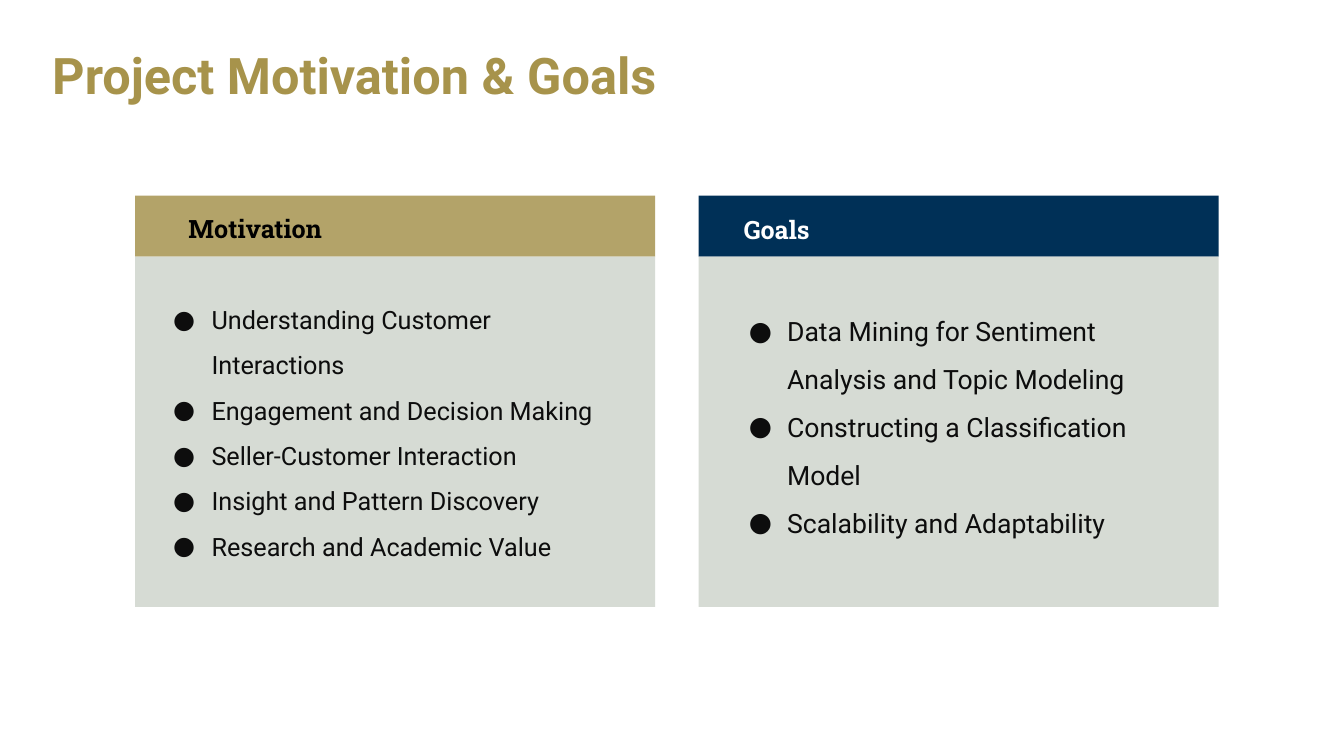
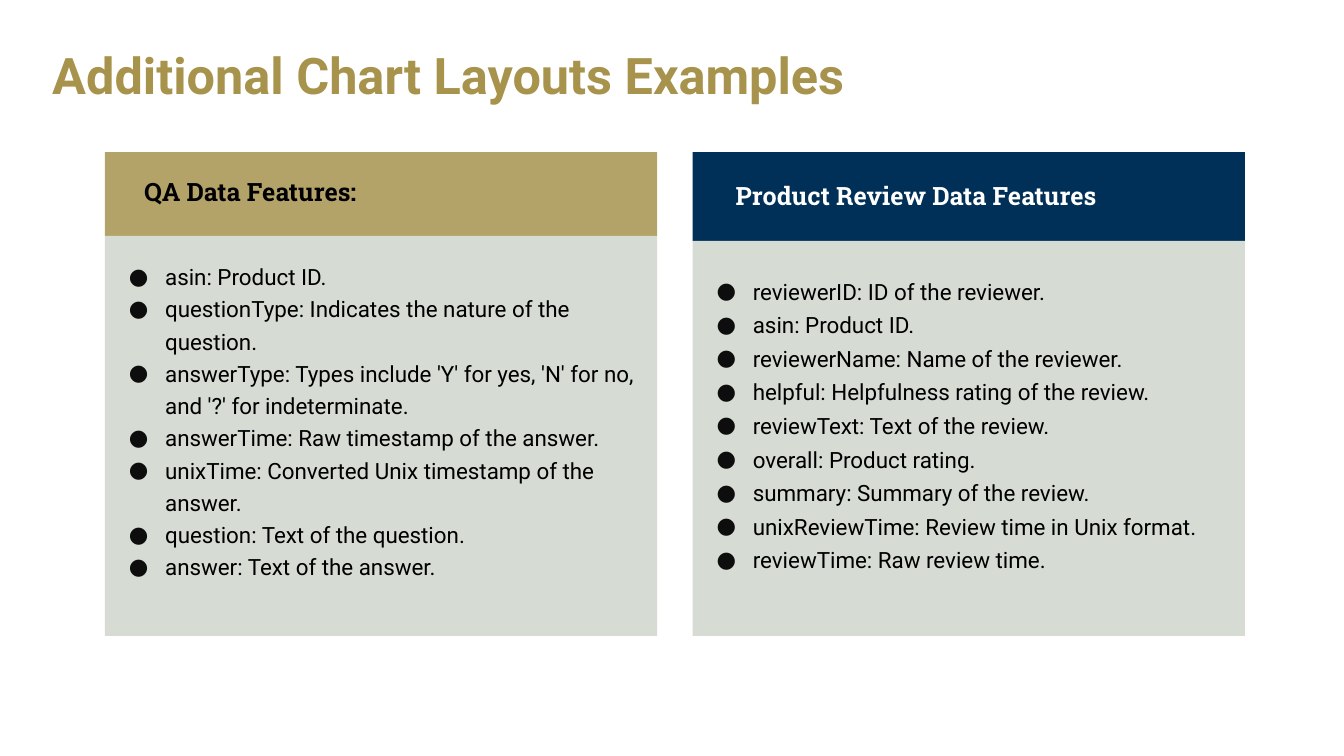
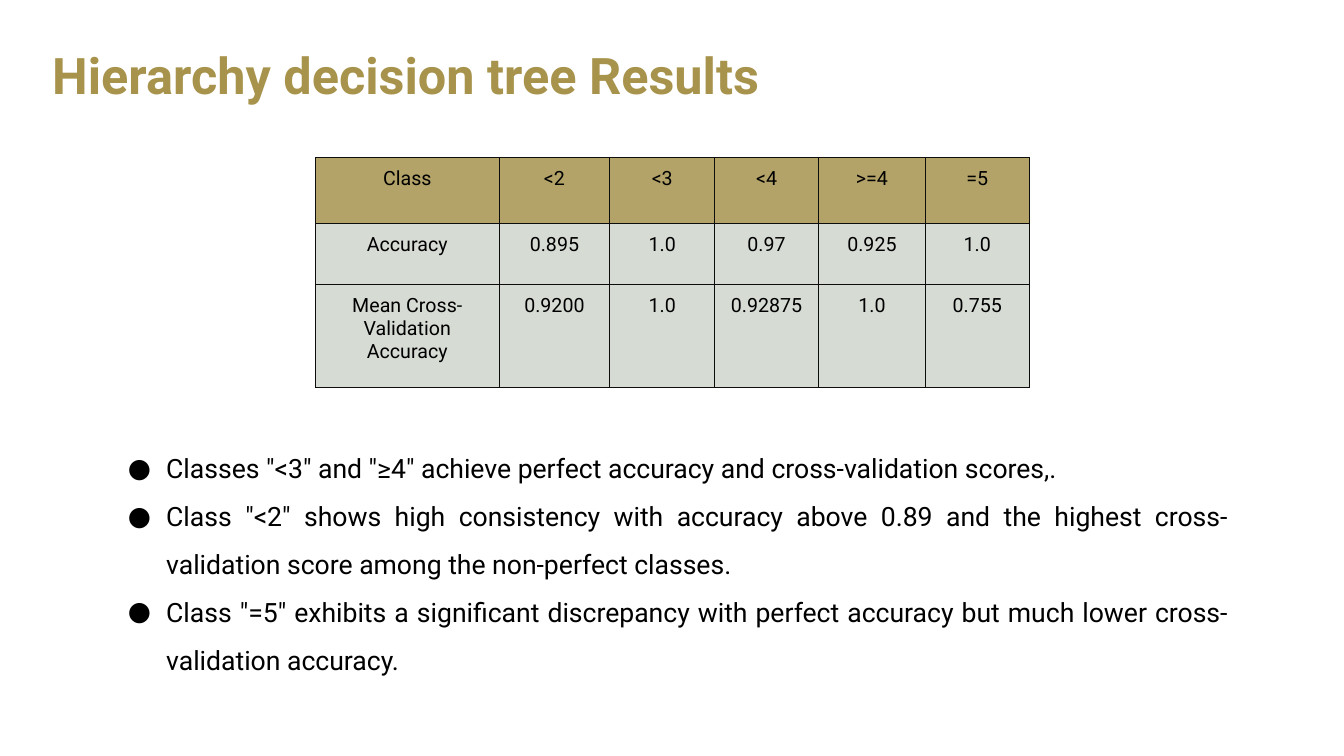
from lxml import etree
from pptx import Presentation
from pptx import util as u
from pptx.dml.color import RGBColor
from pptx.enum import shapes, text
from pptx.oxml.ns import qn

HUE = {
    "title": "A7934B", "gold": "B3A369", "navy": "003057", "grey": "D6DBD4",
    "black": "000000", "soft": "0D0D0D", "white": "FFFFFF",
}
BODY, SLAB = "Roboto", "Roboto Slab"
LEFT, MID, JUST = text.PP_ALIGN.LEFT, text.PP_ALIGN.CENTER, text.PP_ALIGN.JUSTIFY

deck = Presentation()
deck.slide_width, deck.slide_height = u.Inches(13.33), u.Inches(7.5)
# The grid has 100 columns and 100 rows
COL, ROW = deck.slide_width / 100, deck.slide_height / 100


def grid(x, y, w, h):
    return [u.Emu(round(n)) for n in (x * COL, y * ROW, w * COL, h * ROW)]


def write(frame, lines, size, hue, font=BODY, bold=False, space=1.0,
          align=LEFT, dot=None, hang=0.38):
    """Fill a text frame, one paragraph a line; dot is the bullet colour."""
    for i, line in enumerate(lines):
        para = frame.add_paragraph() if i else frame.paragraphs[0]
        para.alignment, para.line_spacing = align, space
        if dot:
            prop = para._p.get_or_add_pPr()
            prop.set("marL", str(u.Inches(0.5)))
            prop.set("indent", str(-u.Inches(hang)))
            tint = etree.SubElement(prop, qn("a:buClr"))
            etree.SubElement(tint, qn("a:srgbClr"), val=HUE[dot])
            etree.SubElement(prop, qn("a:buFont"), typeface=BODY)
            etree.SubElement(prop, qn("a:buChar"), char="●")
        run = para.add_run()
        run.text = line
        run.font.size, run.font.name, run.font.bold = u.Pt(size), font, bold
        run.font.color.rgb = RGBColor.from_string(HUE[hue])


# Slides with their titles
pages = []
for name in ("Project Motivation & Goals", "Additional Chart Layouts Examples",
             "Hierarchy decision tree Results"):
    page = deck.slides.add_slide(deck.slide_layouts[6])
    frame = page.shapes.add_textbox(*grid(3.15, 2.93, 93.75, 14.8)).text_frame
    frame.word_wrap = True
    frame.vertical_anchor = text.MSO_ANCHOR.MIDDLE
    write(frame, [name], 36, "title", bold=True, space=0.9)
    pages.append(page)

# Panels: page, band hue, heading hue, (left, top, width, band height, end),
# heading, its (x, y), list, its (x, y, width), list style
PANELS = [
    (0, "gold", "black", (10.05, 25.87, 38.7, 8.07, 80.27),
     "Motivation", (13.28, 27.6),
     ["Understanding Customer Interactions",
      "Engagement and Decision Making",
      "Seller-Customer Interaction",
      "Insight and Pattern Discovery",
      "Research and Academic Value"],
     (11.25, 37.6, 35.18), dict(size=18, hue="soft", space=1.5)),
    (0, "navy", "white", (51.98, 25.87, 38.7, 8.07, 80.27),
     "Goals", (54.6, 27.73),
     ["Data Mining for Sentiment Analysis and Topic Modeling",
      "Constructing a Classification Model",
      "Scalability and Adaptability"],
     (54.08, 38.93, 34.58), dict(size=19, hue="soft", space=1.5)),
    (1, "gold", "black", (7.8, 20.13, 41.1, 11.07, 84.13),
     "QA Data Features:", (9.98, 22.67),
     ["asin: Product ID.",
      "questionType: Indicates the nature of the question.",
      "answerType: Types include 'Y' for yes, 'N' for no, and '?' for indeterminate.",
      "answerTime: Raw timestamp of the answer.",
      "unixTime: Converted Unix timestamp of the answer.",
      "question: Text of the question.",
      "answer: Text of the answer."],
     (7.8, 33.47, 41.1), dict(size=16, hue="black", space=1.2, hang=0.36)),
    (1, "navy", "white", (51.53, 20.13, 41.1, 11.73, 84.13),
     "Product Review Data Features", (54, 23.2),
     ["reviewerID: ID of the reviewer.",
      "asin: Product ID.",
      "reviewerName: Name of the reviewer.",
      "helpful: Helpfulness rating of the review.",
      "reviewText: Text of the review.",
      "overall: Product rating.",
      "summary: Summary of the review.",
      "unixReviewTime: Review time in Unix format.",
      "reviewTime: Raw review time."],
     (51.53, 35.2, 41.1), dict(size=16, hue="black", space=1.25, hang=0.36)),
]
for num, band, ink, area, head, spot, items, zone, style in PANELS:
    parts = pages[num].shapes
    left, top, width, tall, end = area
    for hue, y, h in ((band, top, tall), ("grey", top + tall, end - top - tall)):
        rect = parts.add_shape(shapes.MSO_SHAPE.RECTANGLE, *grid(left, y, width, h))
        rect.shadow.inherit = False
        rect.fill.solid()
        rect.fill.fore_color.rgb = RGBColor.from_string(HUE[hue])
        rect.line.fill.background()
    frame = parts.add_textbox(*grid(*spot, 33, 5.33)).text_frame
    frame.word_wrap = True
    write(frame, [head], 18, ink, font=SLAB, bold=True)
    x, y, w = zone
    frame = parts.add_textbox(*grid(x, y, w, end - y - 3)).text_frame
    frame.word_wrap = True
    write(frame, items, dot="soft", **style)

# Results table
ROWS = [
    ["Class", "<2", "<3", "<4", ">=4", "=5"],
    ["Accuracy", "0.895", "1.0", "0.97", "0.925", "1.0"],
    ["Mean Cross-Validation Accuracy", "0.9200", "1.0", "0.92875", "1.0", "0.755"],
]
WIDE = [13.65, 8.25, 7.8, 7.73, 7.95, 7.73]
TALL = [8.75, 8.05, 13.6]
parts = pages[2].shapes
table = parts.add_table(len(ROWS), len(WIDE),
                        *grid(23.48, 20.8, sum(WIDE), sum(TALL))).table
table.first_row = table.horz_banding = False
for i, w in enumerate(WIDE):
    table.columns[i].width = u.Emu(round(w * COL))
for i, h in enumerate(TALL):
    table.rows[i].height = u.Emu(round(h * ROW))
for r, row in enumerate(ROWS):
    for c, word in enumerate(row):
        cell = table.cell(r, c)
        cell.margin_left = cell.margin_right = u.Inches(0.1)
        cell.margin_top = cell.margin_bottom = u.Inches(0.1)
        write(cell.text_frame, [word], 14, "black", align=MID)
        prop = cell._tc.get_or_add_tcPr()
        for side in ("a:lnL", "a:lnR", "a:lnT", "a:lnB"):
            edge = etree.SubElement(prop, qn(side), w=str(u.Pt(0.75)))
            fill = etree.SubElement(edge, qn("a:solidFill"))
            etree.SubElement(fill, qn("a:srgbClr"), val=HUE["soft"])
        cell.fill.solid()
        cell.fill.fore_color.rgb = RGBColor.from_string(HUE["grey" if r else "gold"])

# Findings under the table
frame = parts.add_textbox(*grid(7.88, 57.07, 84.25, 30)).text_frame
frame.word_wrap = True
write(frame, [
    'Classes "<3" and "≥4" achieve perfect accuracy and cross-validation scores,.',
    'Class "<2" shows high consistency with accuracy above 0.89 and the highest '
    'cross-validation score among the non-perfect classes.',
    'Class "=5" exhibits a significant discrepancy with perfect accuracy but much '
    'lower cross-validation accuracy.',
], 19, "black", space=1.5, align=JUST, dot="black")

deck.save("out.pptx")
